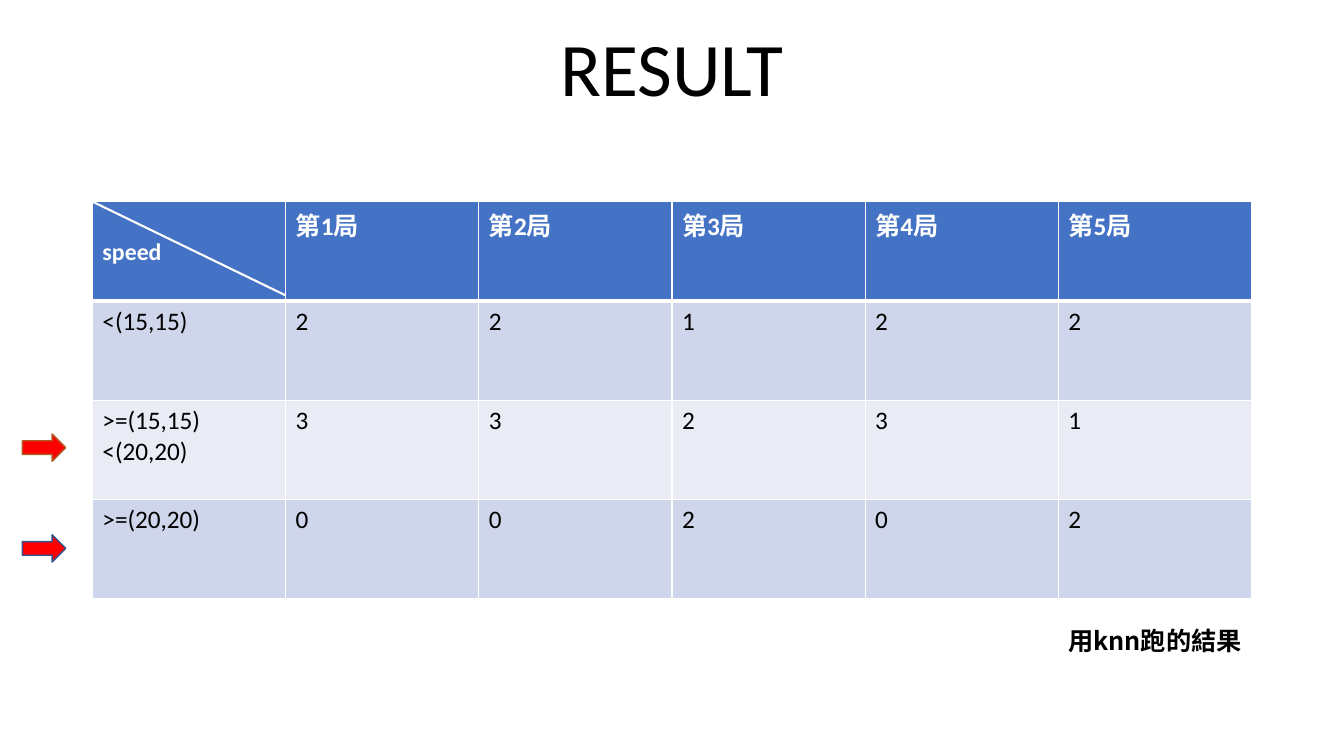
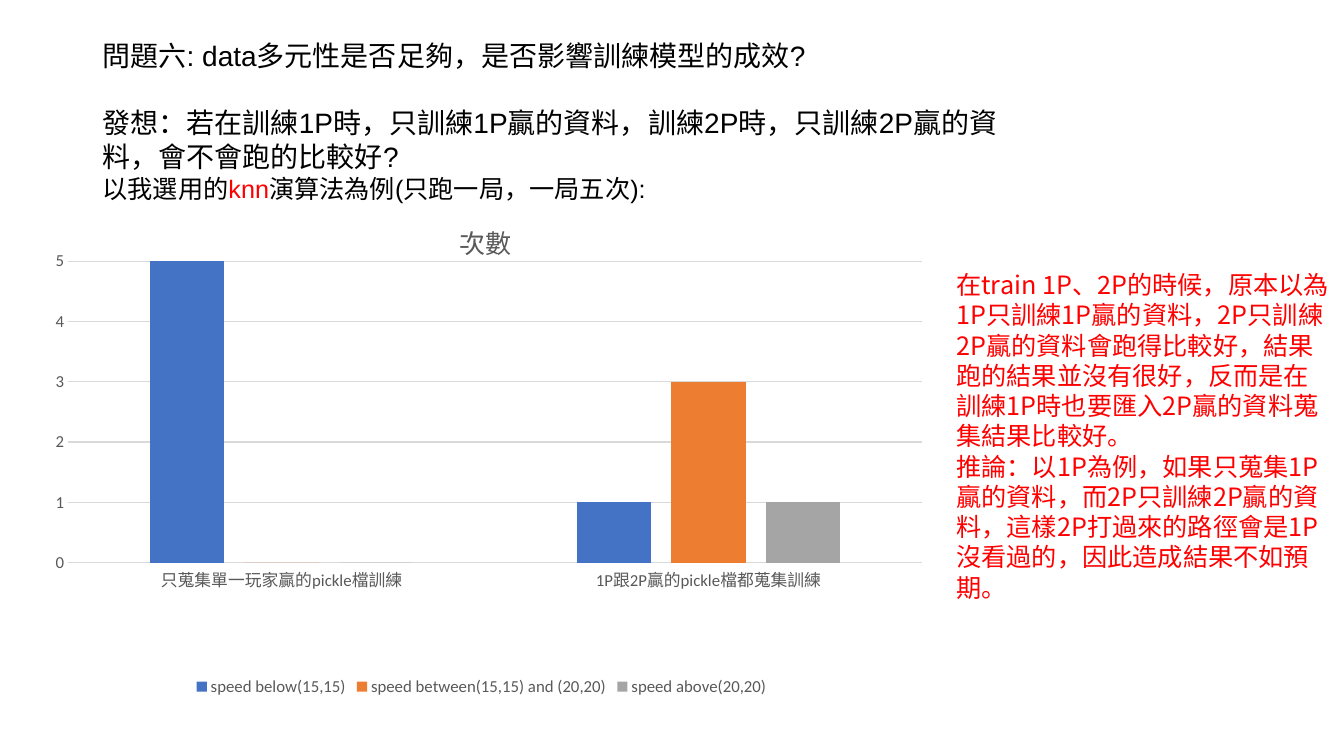
from lxml import etree
from pptx import Presentation
from pptx.chart.data import CategoryChartData
from pptx.dml.color import RGBColor
from pptx.enum.chart import XL_CHART_TYPE, XL_LEGEND_POSITION, XL_TICK_MARK
from pptx.enum.shapes import MSO_CONNECTOR, MSO_SHAPE
from pptx.enum.text import MSO_ANCHOR, MSO_AUTO_SIZE, PP_ALIGN
from pptx.oxml.ns import qn
from pptx.util import Pt

LEFT, MID, RIGHT = PP_ALIGN.LEFT, PP_ALIGN.CENTER, PP_ALIGN.RIGHT
TOP = MSO_ANCHOR.TOP
FIXED = MSO_AUTO_SIZE.NONE
ARROW = MSO_SHAPE.RIGHT_ARROW
LINE = MSO_CONNECTOR.STRAIGHT
COLUMN = XL_CHART_TYPE.COLUMN_CLUSTERED
BOTTOM = XL_LEGEND_POSITION.BOTTOM
NO_TICK = XL_TICK_MARK.NONE

INK = {
    "black": "000000", "white": "FFFFFF", "red": "FF0000",
    "blue": "4472C4", "orange": "ED7D31", "gray": "A5A5A5",
    "band": "CFD5EA", "pale": "E9EBF5", "text": "595959", "grid": "D9D9D9",
    "brown": "AF5C24", "navy": "325491",
}
MAIN, HEAD = "Calibri", "Arial"
CJK, CJK_SC = "Noto Sans CJK TC", "Noto Sans CJK SC"


def rgb(name):
    return RGBColor.from_string(INK[name])


class Deck:
    def __init__(self):
        self.prs = Presentation()
        self.prs.slide_width, self.prs.slide_height = Pt(960), Pt(540)
        self.slide = None

    def new(self):
        self.slide = self.prs.slides.add_slide(self.prs.slide_layouts[5])

    def run(self, para, text, size=18, ink="black", face=MAIN, asian=CJK, bold=False):
        run = para.add_run()
        run.text = text
        font = run.font
        font.size, font.bold, font.name = Pt(size), bold, face
        font.color.rgb = rgb(ink)
        etree.SubElement(run._r.get_or_add_rPr(), qn("a:ea"), typeface=asian)

    def fill(self, frame, paras, align=LEFT, **style):
        """Each paragraph is (space before, [(text, style), ...])."""
        frame.word_wrap = True
        for i, (gap, runs) in enumerate(paras):
            para = frame.paragraphs[0] if i == 0 else frame.add_paragraph()
            para.alignment = align
            para.space_before = Pt(gap)
            for text, extra in runs:
                self.run(para, text, **{**style, **extra})

    def title(self, box, paras, inset=3.6, ratio=1.0, **style):
        shape = self.slide.shapes.title
        shape.left, shape.top, shape.width, shape.height = map(Pt, box)
        frame = shape.text_frame
        frame.auto_size, frame.vertical_anchor = FIXED, TOP
        frame.margin_top = Pt(inset)
        self.fill(frame, paras, **style)
        for para in frame.paragraphs:
            para.line_spacing = ratio

    def text(self, box, paras, **style):
        shape = self.slide.shapes.add_textbox(*map(Pt, box))
        self.fill(shape.text_frame, paras, **style)

    def arrow(self, box, edge):
        shape = self.slide.shapes.add_shape(ARROW, *map(Pt, box))
        shape.shadow.inherit = False
        shape.fill.solid()
        shape.fill.fore_color.rgb = rgb("red")
        shape.line.color.rgb = rgb(edge)
        shape.line.width = Pt(1)

    def line(self, ends, ink, width):
        line = self.slide.shapes.add_connector(LINE, *map(Pt, ends))
        line.line.color.rgb = rgb(ink)
        line.line.width = Pt(width)
        etree.SubElement(line._element.spPr, qn("a:effectLst"))

    def border(self, cell, widths):
        props = cell._tc.get_or_add_tcPr()
        for side, width in zip("LRTB", widths):
            edge = etree.SubElement(props, qn("a:ln" + side), w=str(Pt(width)))
            solid = etree.SubElement(edge, qn("a:solidFill"))
            etree.SubElement(solid, qn("a:srgbClr"), val=INK["white"])

    def table(self, box, rows):
        shape = self.slide.shapes.add_table(len(rows), len(rows[0]), *map(Pt, box))
        table = shape.table
        table.first_row = table.horz_banding = False
        for r, row in enumerate(rows):
            top = r == 0
            back = "blue" if top else "band" if r % 2 else "pale"
            for c, text in enumerate(row):
                cell = table.cell(r, c)
                self.border(cell, (1, 1, 3 if r == 1 else 1, 3 if top else 1))
                cell.fill.solid()
                cell.fill.fore_color.rgb = rgb(back)
                corner = top and c == 0
                if corner:
                    cell.margin_top = Pt(25.6)
                self.fill(cell.text_frame, [(0, [(t, {})]) for t in text.split("\n")],
                          size=17 if corner else 18, bold=top,
                          ink="white" if top else "black")

    def place(self, node, spot, **sizes):
        layout = node.find(qn("c:layout"))
        if layout is None:
            layout = etree.Element(qn("c:layout"))
            node.insert(spot, layout)
        manual = etree.SubElement(layout, qn("c:manualLayout"))
        for key, val in sizes.items():
            etree.SubElement(manual, qn("c:" + key), val=str(val))

    def font(self, font, size, ink="text"):
        font.name, font.size, font.bold = MAIN, Pt(size), False
        font.color.rgb = rgb(ink)

    def chart(self, box, name, cats, series):
        data = CategoryChartData()
        data.categories = cats
        for label, vals, _ in series:
            data.add_series(label, vals)
        chart = self.slide.shapes.add_chart(COLUMN, *map(Pt, box), data).chart
        self.font(chart.font, 10, "black")

        # Columns
        plot = chart.plots[0]
        plot.gap_width, plot.overlap = 219, -27
        plot.vary_by_categories = False
        for item, (_, _, ink) in zip(plot.series, series):
            item.format.fill.solid()
            item.format.fill.fore_color.rgb = rgb(ink)

        # Axes
        axis, scale = chart.category_axis, chart.value_axis
        scale.minimum_scale, scale.maximum_scale, scale.major_unit = 0, 5, 1
        scale.format.line.fill.background()
        scale.has_major_gridlines = True
        for line in (axis.format.line, scale.major_gridlines.format.line):
            line.color.rgb = rgb("grid")
            line.width = Pt(0.75)
        for side in (axis, scale):
            side.major_tick_mark = side.minor_tick_mark = NO_TICK
            self.font(side.tick_labels.font, 12)

        # Legend and title
        chart.has_legend = True
        chart.legend.position = BOTTOM
        chart.legend.include_in_layout = False
        self.font(chart.legend.font, 12)
        chart.has_title = True
        para = chart.chart_title.text_frame.paragraphs[0]
        self.run(para, name, size=18.6, ink="text")
        root = chart.element
        self.place(root.find(".//" + qn("c:title")), 1,
                   xMode="edge", yMode="edge", x=0.47, y=0.05)
        self.place(root.find(".//" + qn("c:plotArea")), 0, layoutTarget="inner",
                   xMode="edge", yMode="edge", x=0.04, y=0.14, w=0.95, h=0.59)


def main():
    deck = Deck()

    # Result table
    deck.new()
    deck.title((66, 22, 828, 104), [(0, [("RESULT", {})])],
               inset=0, ratio=0.9, align=MID, size=54)
    deck.table((66, 144, 828, 284), [
        ["speed"] + [f"第{n}局" for n in range(1, 6)],
        ["<(15,15)", *"22122"],
        [">=(15,15)\n<(20,20)", *"33231"],
        [">=(20,20)", *"00202"],
    ])
    deck.line((66, 144, 204, 211), "white", 1.5)
    deck.text((623, 443, 271, 29), [(0, [("用knn跑的結果", {})])],
              align=RIGHT, face=CJK, bold=True)
    for top, edge in ((310, "brown"), (382, "navy")):
        deck.arrow((16, top, 31, 19.5), edge)

    # Question six
    deck.new()
    deck.chart((23, 135.5, 642, 365), "次數",
               ["只蒐集單一玩家贏的pickle檔訓練", "1P跟2P贏的pickle檔都蒐集訓練"],
               [("speed below(15,15)", (5, 1), "blue"),
                ("speed between(15,15) and (20,20)", (0, 3), "orange"),
                ("speed above(20,20)", (0, 1), "gray")])
    small = {"size": 18}
    deck.title((66, 24, 654, 126), [
        (0, [("問題六: data多元性是否足夠，是否影響訓練模型的成效?", {})]),
        (24, [("發想：若在訓練1P時，只訓練1P贏的資料，訓練2P時，"
               "只訓練2P贏的資料，會不會跑的比較好?", {})]),
        (0, [("以我選用的", small), ("knn", {"size": 18, "ink": "red"}),
             ("演算法為例(只跑一局，一局五次):", small)]),
    ], size=20, face=HEAD)
    deck.text((676, 189, 284, 247), [
        (0, [("在train 1P、2P的時候，原本以為1P只訓練1P贏的資料，"
              "2P只訓練2P贏的資料會跑得比較好，結果跑的結果並沒有很好，"
              "反而是在訓練1P時也要匯入2P贏的資料蒐集結果比較好。", {})]),
        (0, [("推論：以1P為例，如果只蒐集1P贏的資料，而2P只訓練2P贏的資料，"
              "這樣2P打過來的路徑會是1P沒看過的，因此造成結果不如預期。", {})]),
    ], ink="red", face=CJK_SC, asian=CJK_SC)

    deck.prs.save("out.pptx")


if __name__ == "__main__":
    main()
